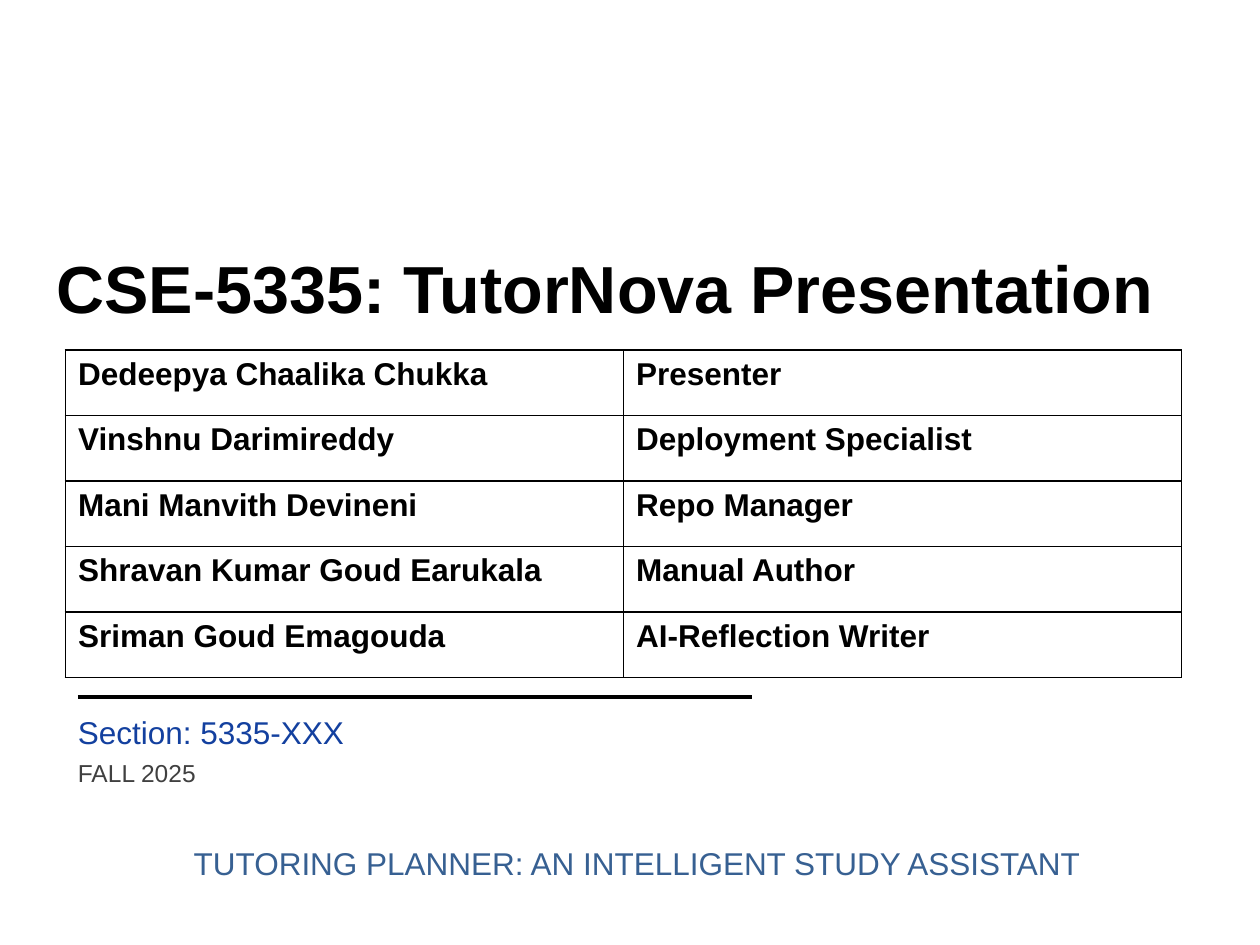
"""Build the title slide with the team table of the TutorNova project."""
from dataclasses import dataclass

from lxml.etree import SubElement
from pptx import Presentation
from pptx.dml.color import RGBColor
from pptx.enum.shapes import MSO_CONNECTOR
from pptx.enum.text import PP_ALIGN
from pptx.oxml.ns import qn
from pptx.util import Cm, Pt


@dataclass(frozen=True)
class Theme:
    font: str = "Arial"
    black: str = "000000"
    grey: str = "404040"
    blue: str = "13409F"
    steel: str = "376092"
    white: str = "FFFFFF"
    title: int = 38
    body: int = 18
    small: int = 14
    rule: int = 2
    border: int = 1


T = Theme()

TEAM = [
    ("Dedeepya Chaalika Chukka", "Presenter"),
    ("Vinshnu Darimireddy", "Deployment Specialist"),
    ("Mani Manvith Devineni", "Repo Manager"),
    ("Shravan Kumar Goud Earukala", "Manual Author"),
    ("Sriman Goud Emagouda", "AI-Reflection Writer"),
]

TEXTS = [
    ("CSE-5335: TutorNova Presentation", (0.89, 5.16, 23.93, 1.55),
     T.title, T.black, True, PP_ALIGN.LEFT, 0.8),
    ("Section: 5335-XXX", (1.32, 14.4, 15.24, 1.5),
     T.body, T.blue, False, PP_ALIGN.LEFT, 0.8),
    ("FALL 2025", (1.32, 15.27, 16.66, 0.76),
     T.small, T.grey, False, PP_ALIGN.LEFT, 0.8),
    ("TUTORING PLANNER: AN INTELLIGENT STUDY ASSISTANT", (1.3, 16.89, 23.09, 1.02),
     T.body, T.steel, False, PP_ALIGN.CENTER, 1.0),
]

TABLE_LEFT, TABLE_TOP, COL_W, ROW_H = 1.32, 7.06, 11.25, 1.32
RULE_LEFT, RULE_RIGHT, RULE_Y = 1.57, 15.16, 14.05


def add_run(p, text, size, color, bold):
    """Add one styled run to a paragraph."""
    r = p.add_run()
    r.text = text
    r.font.name, r.font.size, r.font.bold = T.font, Pt(size), bold
    r.font.color.rgb = RGBColor.from_string(color)


def add_text(s, text, box, size, color, bold, align, spacing):
    """Add a wrapped one-line text box."""
    tf = s.shapes.add_textbox(*map(Cm, box)).text_frame
    tf.word_wrap = True
    p = tf.paragraphs[0]
    p.alignment, p.line_spacing = align, spacing
    add_run(p, text, size, color, bold)


def style_cell(cell):
    """Give a cell four borders and a plain fill."""
    tcPr = cell._tc.get_or_add_tcPr()
    for side in ("a:lnL", "a:lnR", "a:lnT", "a:lnB"):
        ln = SubElement(tcPr, qn(side), w=str(Pt(T.border)))
        SubElement(SubElement(ln, qn("a:solidFill")), qn("a:srgbClr"), val=T.black)
    cell.fill.solid()
    cell.fill.fore_color.rgb = RGBColor.from_string(T.white)


def add_team(s):
    """Add the table of members and roles."""
    rows, cols = len(TEAM), len(TEAM[0])
    table = s.shapes.add_table(rows, cols, Cm(TABLE_LEFT), Cm(TABLE_TOP),
                               Cm(cols * COL_W), Cm(rows * ROW_H)).table
    table.first_row = table.horz_banding = False
    for i, member in enumerate(TEAM):
        for j, text in enumerate(member):
            cell = table.cell(i, j)
            style_cell(cell)
            add_run(cell.text_frame.paragraphs[0], text, T.body, T.black, True)


def add_rule(s):
    """Add the line under the table."""
    line = s.shapes.add_connector(MSO_CONNECTOR.STRAIGHT, Cm(RULE_LEFT), Cm(RULE_Y),
                                  Cm(RULE_RIGHT), Cm(RULE_Y))
    line.line.color.rgb = RGBColor.from_string(T.black)
    line.line.width = Pt(T.rule)
    SubElement(line._element.spPr, qn("a:effectLst"))


def main():
    """Assemble and save the slide."""
    prs = Presentation()
    prs.slide_width, prs.slide_height = Cm(25.4), Cm(19.05)
    s = prs.slides.add_slide(prs.slide_layouts[6])
    for item in TEXTS:
        add_text(s, *item)
    add_rule(s)
    add_team(s)
    prs.save("out.pptx")


if __name__ == "__main__":
    main()
